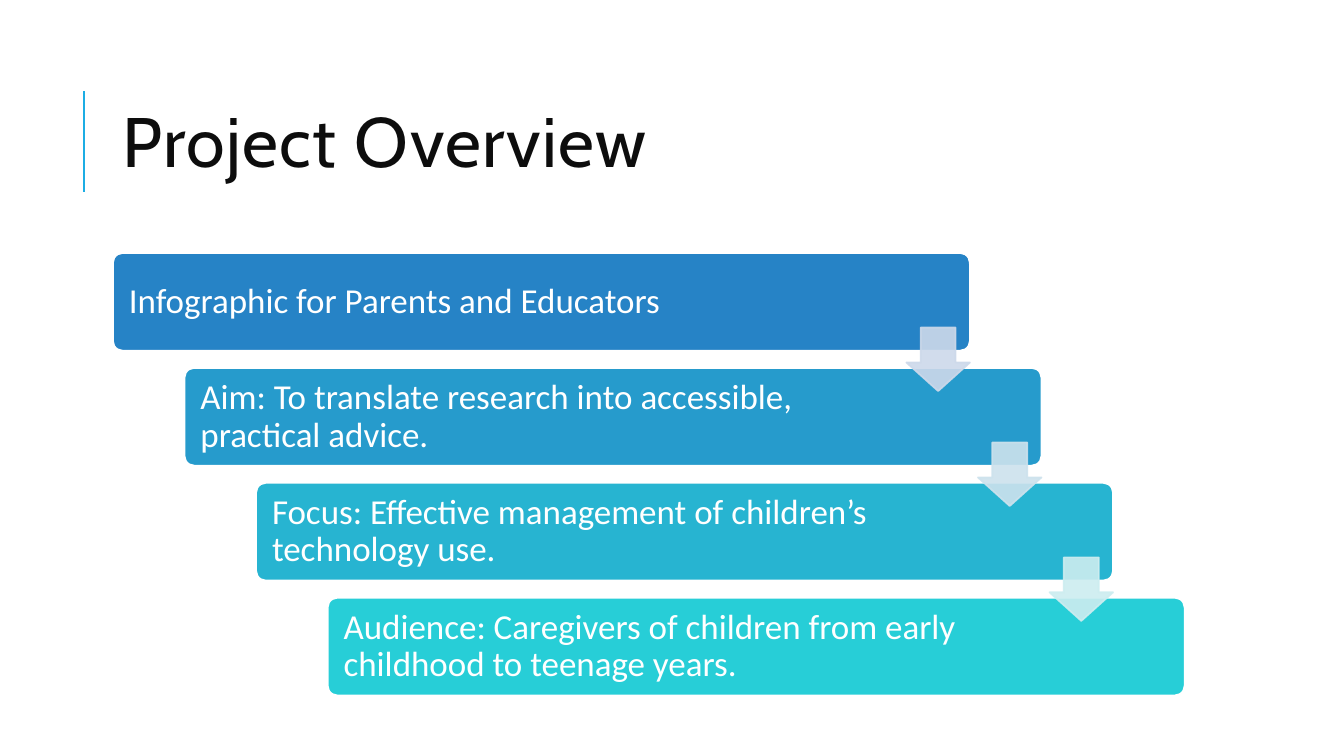
"""Build the Project Overview slide: a staircase of four steps joined by arrows."""
import pptx
import pptx.util
import pptx.dml.color
import pptx.enum.shapes
import pptx.enum.text
import pptx.oxml
import pptx.oxml.ns
from pptx.util import Inches

HUES = {"rule": "1CADE4", "title": "0D0D0D", "white": "FFFFFF"}
STEPS = [
    ("Infographic for Parents and Educators", "2683C6", "CDD9EA"),
    ("Aim: To translate research into accessible, practical advice.", "269BCC", "CDE2ED"),
    ("Focus: Effective management of children’s technology use.", "27B4D1", "CDEDF0"),
    ("Audience: Caregivers of children from early childhood to teenage years.", "27CED7", None),
]
LEFT, TOP = 1.12, 2.51
SHIFT, DROP = 0.71, 1.14
KINDS = pptx.enum.shapes.MSO_SHAPE


def add_block(kind, box, adjust, fill, edge):
    shape = slide.shapes.add_shape(kind, *[Inches(v) for v in box])
    shape.shadow.inherit = False
    for spot, value in enumerate(adjust):
        shape.adjustments[spot] = value
    shape.fill.solid()
    shape.fill.fore_color.rgb = pptx.dml.color.RGBColor.from_string(fill)
    shape.line.color.rgb = pptx.dml.color.RGBColor.from_string(edge)
    shape.line.width = pptx.util.Pt(1.25)
    return shape


def set_text(shape, text, font, size, hue, lead):
    frame = shape.text_frame
    frame.text = text
    frame.word_wrap = True
    frame.vertical_anchor = pptx.enum.text.MSO_ANCHOR.MIDDLE
    para = frame.paragraphs[0]
    para.alignment = pptx.enum.text.PP_ALIGN.LEFT
    para.line_spacing = lead
    run = para.runs[0]
    run.font.name = font
    run.font.size = pptx.util.Pt(size)
    run.font.color.rgb = pptx.dml.color.RGBColor.from_string(hue)
    return run


deck = pptx.Presentation()
deck.slide_width, deck.slide_height = Inches(13.33), Inches(7.5)
slide = deck.slides.add_slide(deck.slide_layouts[6])

rule = slide.shapes.add_connector(
    pptx.enum.shapes.MSO_CONNECTOR.STRAIGHT,
    Inches(0.83), Inches(1.9), Inches(0.83), Inches(0.9))
rule.line.color.rgb = pptx.dml.color.RGBColor.from_string(HUES["rule"])
rule.line.width = pptx.util.Pt(1.5)
pptx.oxml.ns.qn("a:effectLst")
rule.element.spPr.append(pptx.oxml.parse_xml(
    f"<a:effectLst {pptx.oxml.ns.nsdecls('a')}/>"))

title = slide.shapes.add_textbox(Inches(1.12), Inches(0.64), Inches(10.63), Inches(1.64))
run = set_text(title, "Project Overview", "Cabin", 50, HUES["title"], 0.8)
run.font._element.set("spc", "100")

for row, (text, fill, _) in enumerate(STEPS):
    box = (LEFT + row * SHIFT, TOP + row * DROP, 8.5, 0.97)
    bar = add_block(KINDS.ROUNDED_RECTANGLE, box, [0.1], fill, HUES["white"])
    set_text(bar, text, "Calibri", 25, HUES["white"], 0.9)
    bar.text_frame.margin_left = Inches(0.13)
    bar.text_frame.margin_right = Inches(1.46)

for row, (_, _, tint) in enumerate(STEPS[:-1]):
    box = (LEFT + 7.87 + row * SHIFT, TOP + 0.74 + row * DROP, 0.63, 0.63)
    arrow = add_block(KINDS.DOWN_ARROW, box, [0.55, 0.45], tint, tint)
    for color in arrow.element.spPr.iter(pptx.oxml.ns.qn("a:srgbClr")):
        color.append(pptx.oxml.parse_xml(
            f'<a:alpha {pptx.oxml.ns.nsdecls("a")} val="90000"/>'))

deck.save("out.pptx")
